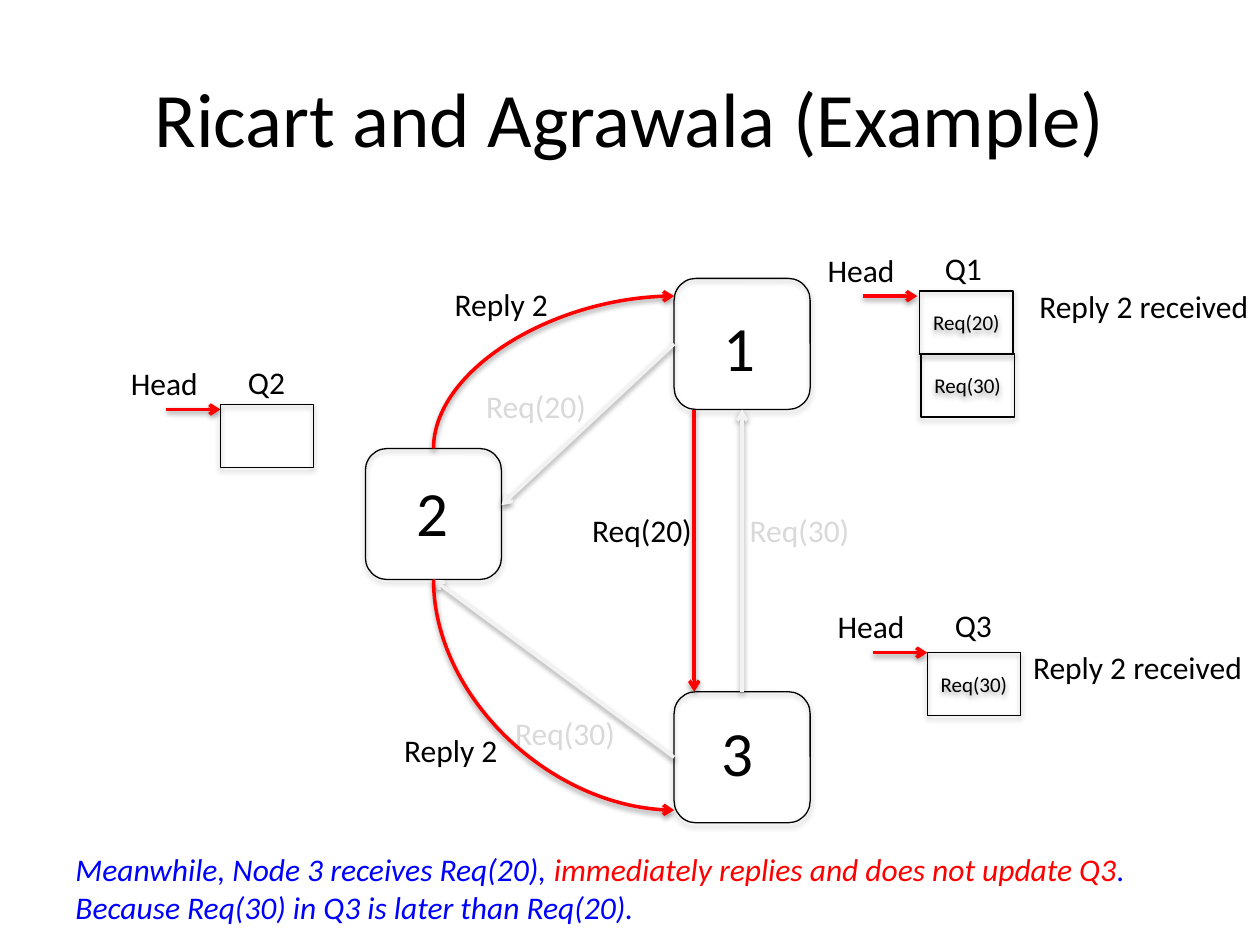
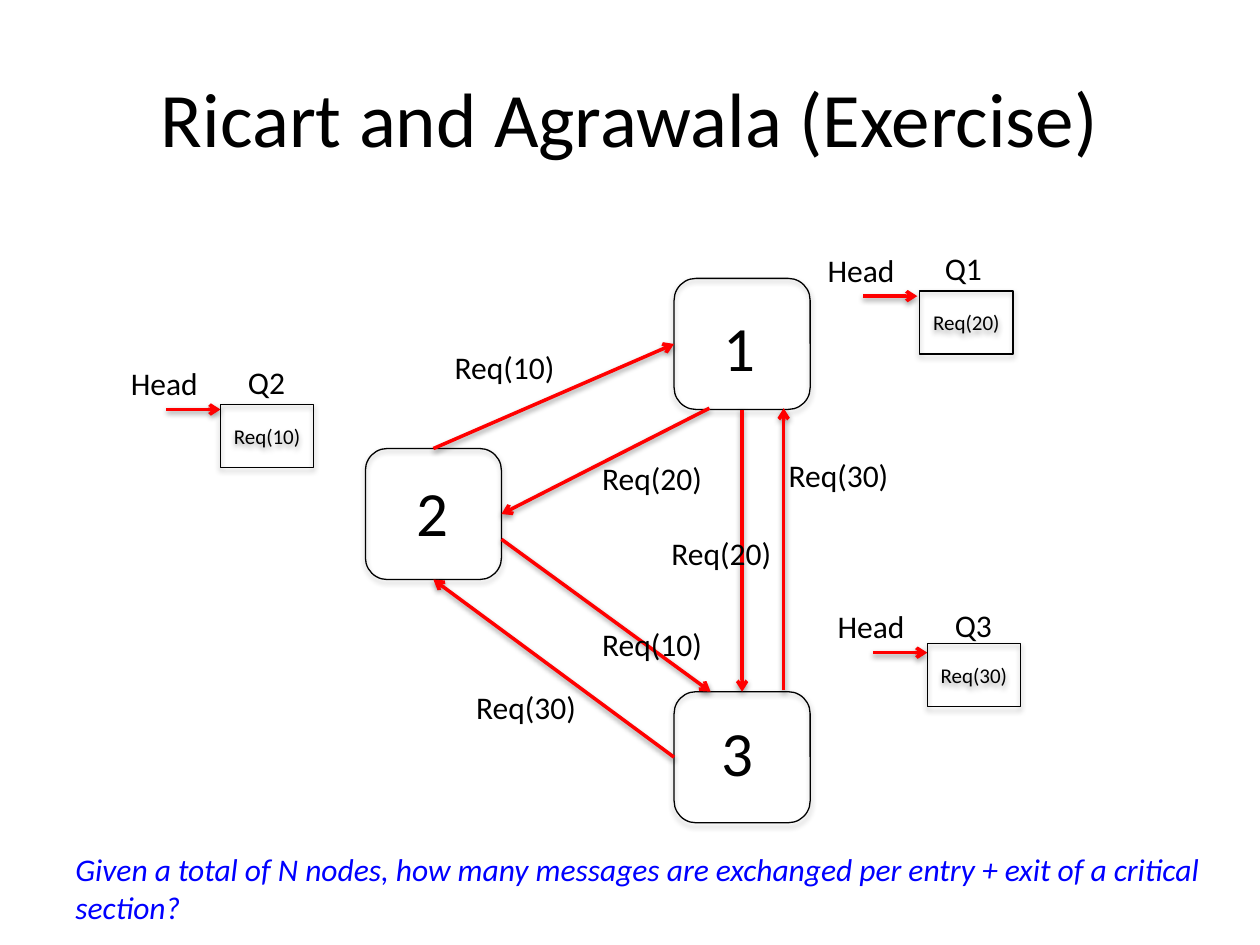
from dataclasses import dataclass

from lxml import etree
from pptx import Presentation
from pptx.dml.color import RGBColor
from pptx.enum.shapes import MSO_CONNECTOR, MSO_SHAPE
from pptx.enum.text import MSO_ANCHOR, MSO_AUTO_SIZE, PP_ALIGN
from pptx.oxml.ns import qn
from pptx.util import Inches, Pt

STRAIGHT, CURVE = MSO_CONNECTOR.STRAIGHT, MSO_CONNECTOR.CURVE
RECTANGLE, ROUNDED = MSO_SHAPE.RECTANGLE, MSO_SHAPE.ROUNDED_RECTANGLE
LEFT, CENTER = PP_ALIGN.LEFT, PP_ALIGN.CENTER
MIDDLE = MSO_ANCHOR.MIDDLE
GROW, NO_AUTOSIZE = MSO_AUTO_SIZE.SHAPE_TO_FIT_TEXT, MSO_AUTO_SIZE.NONE

# Connection sites of a rectangle
TOP_SIDE, LEFT_SIDE, BOTTOM_SIDE, RIGHT_SIDE = range(4)


@dataclass(frozen=True)
class Theme:
    font: str = "Calibri"
    ink: str = "000000"
    active: str = "FF0000"
    note: str = "0000FF"
    old_arrow: str = "F2F2F2"
    old_label: str = "D9D9D9"
    title_size: int = 44
    node_size: int = 36
    text_size: int = 18
    entry_size: int = 12
    outline: float = 0.75
    arrow: float = 2


THEME = Theme()

NODE_SIZE = (1.08, 1.04)
# Node number: left and top of the box, then the offset of the digit in it
NODES = {
    1: (5.35, 2.21, 0.29, 0.19),
    2: (2.9, 3.56, 0.31, 0.15),
    3: (5.35, 5.49, 0.28, 0.12),
}
ENTRY_SIZE = (0.74, 0.5)
# Queue name: tip of its head arrow
QUEUE_HEADS = {"Q2": (1.75, 3.25), "Q3": (7.36, 5.18), "Q1": (7.28, 2.35)}


# Formatting
def rgb(color):
    return RGBColor.from_string(color)


def set_font(font, size, color, italic=False):
    font.name = THEME.font
    font.size = Pt(size)
    font.color.rgb = rgb(color)
    font.italic = italic


def add_shadow(shape, opacity, distance):
    effects = etree.SubElement(shape.element.spPr, qn("a:effectLst"))
    shadow = etree.SubElement(
        effects, qn("a:outerShdw"), blurRad=str(Pt(3.15)), dist=str(Pt(distance)),
        dir="5400000", rotWithShape="0")
    color = etree.SubElement(shadow, qn("a:srgbClr"), val=THEME.ink)
    etree.SubElement(color, qn("a:alpha"), val=str(opacity * 1000))


def style_arrow(connector, color):
    connector.line.color.rgb = rgb(color)
    connector.line.width = Pt(THEME.arrow)
    etree.SubElement(connector.line._get_or_add_ln(), qn("a:tailEnd"), type="arrow")
    add_shadow(connector, 38, 1.6)


# Elements
def add_slide(presentation, title):
    slide = presentation.slides.add_slide(presentation.slide_layouts[5])
    shape = slide.shapes.title
    shape.left, shape.top, shape.width, shape.height = map(Inches, (0.5, 0.3, 9, 1.25))
    shape.text_frame.text = title
    shape.text_frame.vertical_anchor = MIDDLE
    shape.text_frame.auto_size = NO_AUTOSIZE
    paragraph = shape.text_frame.paragraphs[0]
    paragraph.alignment = CENTER
    set_font(paragraph.font, THEME.title_size, THEME.ink)
    return slide


def add_text_frame(slide, left, top, width, height):
    frame = slide.shapes.add_textbox(*map(Inches, (left, top, width, height))).text_frame
    frame.word_wrap = False
    frame.auto_size = GROW
    return frame


def add_label(slide, text, left, top, width, color=THEME.ink, align=LEFT,
              size=THEME.text_size, height=0.4):
    frame = add_text_frame(slide, left, top, width, height)
    frame.text = text
    paragraph = frame.paragraphs[0]
    paragraph.alignment = align
    set_font(paragraph.font, size, color)


def add_request(slide, number, left, top, color=THEME.ink):
    add_label(slide, f"Req({number})", left, top, 1.01, color, CENTER)


def add_note(slide, width, lines):
    """Each line is a list of (text, color) runs."""
    frame = add_text_frame(slide, 0.5, 6.7, width, 0.71)
    for index, runs in enumerate(lines):
        paragraph = frame.add_paragraph() if index else frame.paragraphs[0]
        for text, color in runs:
            run = paragraph.add_run()
            run.text = text
            set_font(run.font, THEME.text_size, color, italic=True)


def add_box(slide, kind, left, top, size):
    shape = slide.shapes.add_shape(kind, *map(Inches, (left, top, *size)))
    shape.fill.background()
    shape.line.color.rgb = rgb(THEME.ink)
    shape.line.width = Pt(THEME.outline)
    add_shadow(shape, 35, 1.8)
    return shape


def add_entry(slide, left, top, text=""):
    frame = add_box(slide, RECTANGLE, left, top, ENTRY_SIZE).text_frame
    frame.vertical_anchor = MIDDLE
    if text:
        frame.text = text
        paragraph = frame.paragraphs[0]
        paragraph.alignment = CENTER
        set_font(paragraph.font, THEME.entry_size, THEME.ink)


def add_arrow(slide, start, end, color=THEME.active):
    """An end is a point (x, y) or a node shape with one of its sides."""
    def point(place):
        return (0, 0) if hasattr(place[0], "shape_id") else map(Inches, place)

    connector = slide.shapes.add_connector(STRAIGHT, *point(start), *point(end))
    if hasattr(start[0], "shape_id"):
        connector.begin_connect(*start)
    if hasattr(end[0], "shape_id"):
        connector.end_connect(*end)
    style_arrow(connector, color)


def add_reply_curve(slide, start, end):
    """Quarter curve that leaves vertically and arrives from the left."""
    (x1, y1), (x2, y2) = start, end
    # The frame lies on its side, so its width is the vertical distance
    width, height = abs(y2 - y1), abs(x2 - x1)
    left, top = (x1 + x2 - width) / 2, (y1 + y2 - height) / 2
    connector = slide.shapes.add_connector(
        CURVE, *map(Inches, (left, top, left + width, top + height)))
    properties = connector.element.spPr
    properties.find(qn("a:prstGeom")).set("prst", "curvedConnector2")
    frame = properties.find(qn("a:xfrm"))
    frame.set("flipH", "1")
    if y2 < y1:
        frame.set("rot", "5400000")
        frame.set("flipV", "1")
    else:
        frame.set("rot", "16200000")
    style_arrow(connector, THEME.active)


def add_nodes(slide):
    shapes = {}
    for number, (left, top, digit_x, digit_y) in NODES.items():
        shapes[number] = add_box(slide, ROUNDED, left, top, NODE_SIZE)
        add_label(slide, str(number), left + digit_x, top + digit_y, 0.46,
                  size=THEME.node_size, height=0.71)
    return shapes


def add_queue_heads(slide):
    for name, (x, y) in QUEUE_HEADS.items():
        add_label(slide, name, x + 0.12, y - 0.42, 0.5)
        add_arrow(slide, (x - 0.43, y), (x, y))
        add_label(slide, "Head", x - 0.81, y - 0.41, 0.74)


# Slides
def build_example(presentation):
    slide = add_slide(presentation, "Ricart and Agrawala (Example)")
    nodes = add_nodes(slide)
    add_note(slide, 8.69, [
        [("Meanwhile, Node 3 receives Req(20), ", THEME.note),
         ("immediately replies and does not update Q3", THEME.active),
         (".", THEME.note)],
        [("Because Req(30) in Q3 is later than Req(20).", THEME.note)],
    ])

    # Queues
    add_queue_heads(slide)
    add_entry(slide, 7.3, 2.31, "Req(20)")
    add_entry(slide, 7.31, 2.81, "Req(30)")
    add_entry(slide, 1.75, 3.21)
    add_entry(slide, 7.36, 5.18, "Req(30)")

    # Earlier requests
    for start, end in (
        ((nodes[3], TOP_SIDE), (nodes[1], BOTTOM_SIDE)),
        ((nodes[3], LEFT_SIDE), (nodes[2], BOTTOM_SIDE)),
        ((nodes[1], LEFT_SIDE), (3.98, 4.01)),
    ):
        add_arrow(slide, start, end, THEME.old_arrow)
    for number, left, top in ((30, 3.98, 5.62), (30, 5.84, 4.01), (20, 3.75, 3.02)):
        add_request(slide, number, left, top, THEME.old_label)

    # Current request and replies
    add_arrow(slide, (5.51, 3.25), (5.51, 5.49))
    add_request(slide, 20, 4.59, 4.01)
    add_reply_curve(slide, (3.44, 3.56), (5.35, 2.35))
    add_reply_curve(slide, (3.44, 4.6), (5.35, 6.43))
    for left, top in ((3.51, 2.21), (3.11, 5.75)):
        add_label(slide, "Reply 2", left, top, 0.95)
    for left, top in ((8.15, 2.23), (8.1, 5.09)):
        add_label(slide, "Reply 2 received", left, top, 1.89)


def build_exercise(presentation):
    slide = add_slide(presentation, "Ricart and Agrawala (Exercise)")
    nodes = add_nodes(slide)
    add_note(slide, 9.31, [
        [("Given a total of N nodes, how many messages are exchanged per entry"
          " + exit of a critical", THEME.note)],
        [("section?", THEME.note)],
    ])

    # Queues
    add_queue_heads(slide)
    add_entry(slide, 7.3, 2.31, "Req(20)")
    add_entry(slide, 1.75, 3.21, "Req(10)")
    add_entry(slide, 7.36, 5.11, "Req(30)")

    # Requests between all nodes
    for start, end in (
        ((nodes[3], LEFT_SIDE), (nodes[2], BOTTOM_SIDE)),
        ((6.22, 5.48), (6.22, 3.24)),
        ((nodes[2], TOP_SIDE), (nodes[1], LEFT_SIDE)),
        ((3.98, 4.28), (5.64, 5.49)),
        ((5.63, 3.24), (nodes[2], RIGHT_SIDE)),
        ((nodes[1], BOTTOM_SIDE), (nodes[3], TOP_SIDE)),
    ):
        add_arrow(slide, start, end)
    for number, left, top in (
        (30, 6.15, 3.57), (30, 3.67, 5.41), (20, 5.22, 4.19),
        (20, 4.67, 3.59), (10, 3.5, 2.71), (10, 4.67, 4.91),
    ):
        add_request(slide, number, left, top)


def main():
    presentation = Presentation()
    presentation.slide_width, presentation.slide_height = Inches(10), Inches(7.5)
    build_example(presentation)
    build_exercise(presentation)
    presentation.save("out.pptx")


if __name__ == "__main__":
    main()
